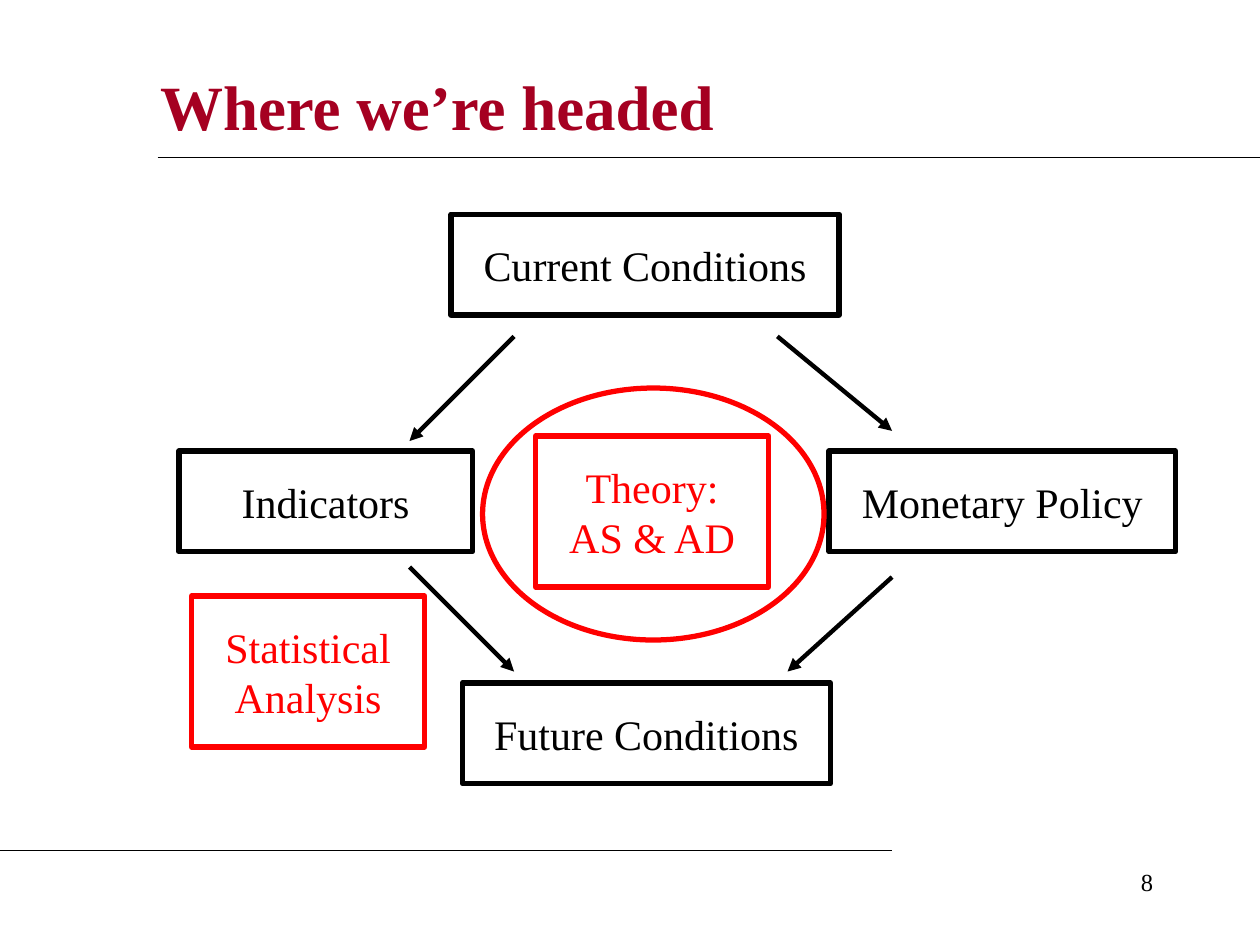
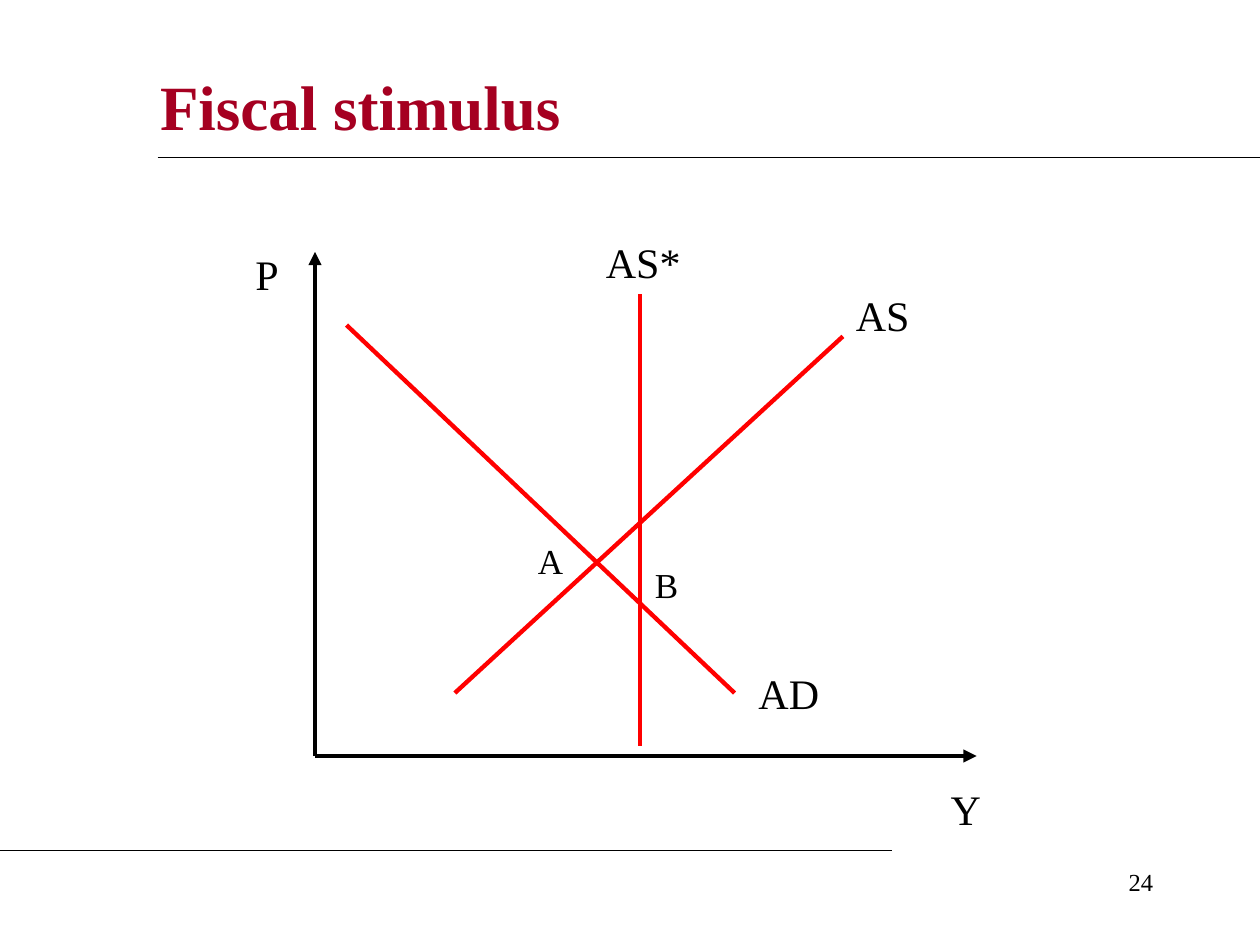
from lxml import etree
from pptx import Presentation
from pptx.dml.color import RGBColor
from pptx.enum.shapes import MSO_CONNECTOR, MSO_SHAPE
from pptx.enum.text import MSO_ANCHOR, MSO_AUTO_SIZE, PP_ALIGN
from pptx.oxml.ns import qn
from pptx.util import Inches, Pt

LEFT, CENTER, RIGHT = PP_ALIGN.LEFT, PP_ALIGN.CENTER, PP_ALIGN.RIGHT
TOP, MIDDLE = MSO_ANCHOR.TOP, MSO_ANCHOR.MIDDLE
RECT, OVAL = MSO_SHAPE.RECTANGLE, MSO_SHAPE.OVAL
STRAIGHT = MSO_CONNECTOR.STRAIGHT
NO_AUTOFIT = MSO_AUTO_SIZE.NONE

FONT = "Times New Roman"
COLORS = {"title": "A50021", "ink": "000000", "accent": "FF0000"}
TITLE_ONLY = 5


def rgb(name):
    return RGBColor.from_string(COLORS[name])


def set_text(shape, text, size, color="ink", align=CENTER, anchor=TOP,
             inset=(0.1, 0.05), bold=False):
    tf = shape.text_frame
    tf.text = text
    tf.word_wrap = True
    tf.auto_size = NO_AUTOFIT
    tf.vertical_anchor = anchor
    tf.margin_left = tf.margin_right = Inches(inset[0])
    tf.margin_top = tf.margin_bottom = Inches(inset[1])
    p = tf.paragraphs[0]
    p.alignment = align
    font = p.runs[0].font
    font.name, font.size, font.bold = FONT, Pt(size), bold
    font.color.rgb = rgb(color)


def add_label(s, text, left, top, width, height=0.5, size=24, align=CENTER):
    box = s.shapes.add_textbox(Inches(left), Inches(top),
                               Inches(width), Inches(height))
    set_text(box, text, size, align=align)


def add_line(s, start, end, color="ink", width=2.5, arrow=False):
    line = s.shapes.add_connector(STRAIGHT, *map(Inches, (*start, *end)))
    line.line.color.rgb = rgb(color)
    line.line.width = Pt(width)
    if arrow:
        ln = line.line._get_or_add_ln()
        etree.SubElement(ln, qn("a:tailEnd"), type="triangle")
    etree.SubElement(line._element.spPr, qn("a:effectLst"))


def add_outline(s, kind, left, top, width, height, color):
    sp = s.shapes.add_shape(kind, Inches(left), Inches(top),
                            Inches(width), Inches(height))
    sp.shadow.inherit = False
    sp.fill.background()
    sp.line.color.rgb = rgb(color)
    sp.line.width = Pt(3)
    return sp


def add_slide(prs, title, number, title_width):
    """Start a slide with its title, two rules and page number."""
    s = prs.slides.add_slide(prs.slide_layouts[TITLE_ONLY])
    head = s.shapes.title
    head.left, head.top = Inches(1.17), Inches(0.42)
    head.width, head.height = Inches(title_width), Inches(0.83)
    set_text(head, title, 36, "title", LEFT, MIDDLE, bold=True)
    add_line(s, (1.25, 1.25), (10, 1.25), width=0.75)
    add_line(s, (0, 6.75), (7.08, 6.75), width=0.75)
    add_label(s, str(number), 7.17, 6.83, 2.08, size=14, align=RIGHT)
    return s


def draw_roadmap(s, left, top):
    """Cycle of conditions, with the course tools in the accent colour."""
    # Text, offset from the corner, size, colour
    boxes = [
        ("Current Conditions", 2.16, 0, 3.08, 0.8, "ink"),
        ("Indicators", 0, 1.88, 2.33, 0.8, "ink"),
        ("Monetary Policy", 5.16, 1.88, 2.75, 0.8, "ink"),
        ("Future Conditions", 2.25, 3.72, 2.92, 0.8, "ink"),
        ("Theory: AS & AD", 2.83, 1.76, 1.85, 1.2, "accent"),
        ("Statistical Analysis", 0.1, 3.03, 1.85, 1.2, "accent"),
    ]
    for text, x, y, width, height, color in boxes:
        sp = add_outline(s, RECT, left + x, top + y, width, height, color)
        set_text(sp, text, 24, color, inset=(0.2, 0.2))

    # Arrows between the conditions
    arrows = [
        ((2.66, 0.97), (1.83, 1.8)),
        ((4.75, 0.97), (5.66, 1.72)),
        ((1.83, 2.8), (2.66, 3.63)),
        ((5.66, 2.88), (4.83, 3.63)),
    ]
    for (x1, y1), (x2, y2) in arrows:
        add_line(s, (left + x1, top + y1), (left + x2, top + y2), arrow=True)

    # Ring around the theory
    add_outline(s, OVAL, left + 2.41, top + 1.38, 2.71, 2, "accent")


def draw_supply_demand(s, left, top, width, height):
    """Price and output axes with the supply and demand curves."""
    # Axes
    origin = (left, top + height)
    for end in ((left + width, top + height), (left, top)):
        add_line(s, origin, end, arrow=True)

    # Curves: AS, AD, AS*
    curves = [
        ((1.11, 3.5), (4.19, 0.67)),
        ((3.33, 3.5), (0.25, 0.58)),
        ((2.58, 3.92), (2.58, 0.33)),
    ]
    for (x1, y1), (x2, y2) in curves:
        add_line(s, (left + x1, top + y1), (left + x2, top + y2), "accent")

    # Axis and curve names
    names = [
        ("Y", 4.83, 4.17, 0.67),
        ("P", -0.67, -0.08, 0.58),
        ("AS", 4.17, 0.25, 0.67),
        ("AD", 3.3, 3.25, 0.92),
        ("AS*", 2.19, -0.17, 0.83),
    ]
    for text, x, y, label_width in names:
        add_label(s, text, left + x, top + y, label_width)

    # Equilibrium points
    for text, x, y in (("A", 1.58, 2.23), ("B", 2.5, 2.42)):
        add_label(s, text, left + x, top + y, 0.58, 0.44, size=20)


def main():
    prs = Presentation()
    prs.slide_width, prs.slide_height = Inches(10), Inches(7.5)
    s = add_slide(prs, "Where we’re headed", 8, 8.08)
    draw_roadmap(s, 1.42, 1.7)
    s = add_slide(prs, "Fiscal stimulus", 24, 8.5)
    draw_supply_demand(s, 2.5, 2, 5.25, 4)
    prs.save("out.pptx")


if __name__ == "__main__":
    main()
